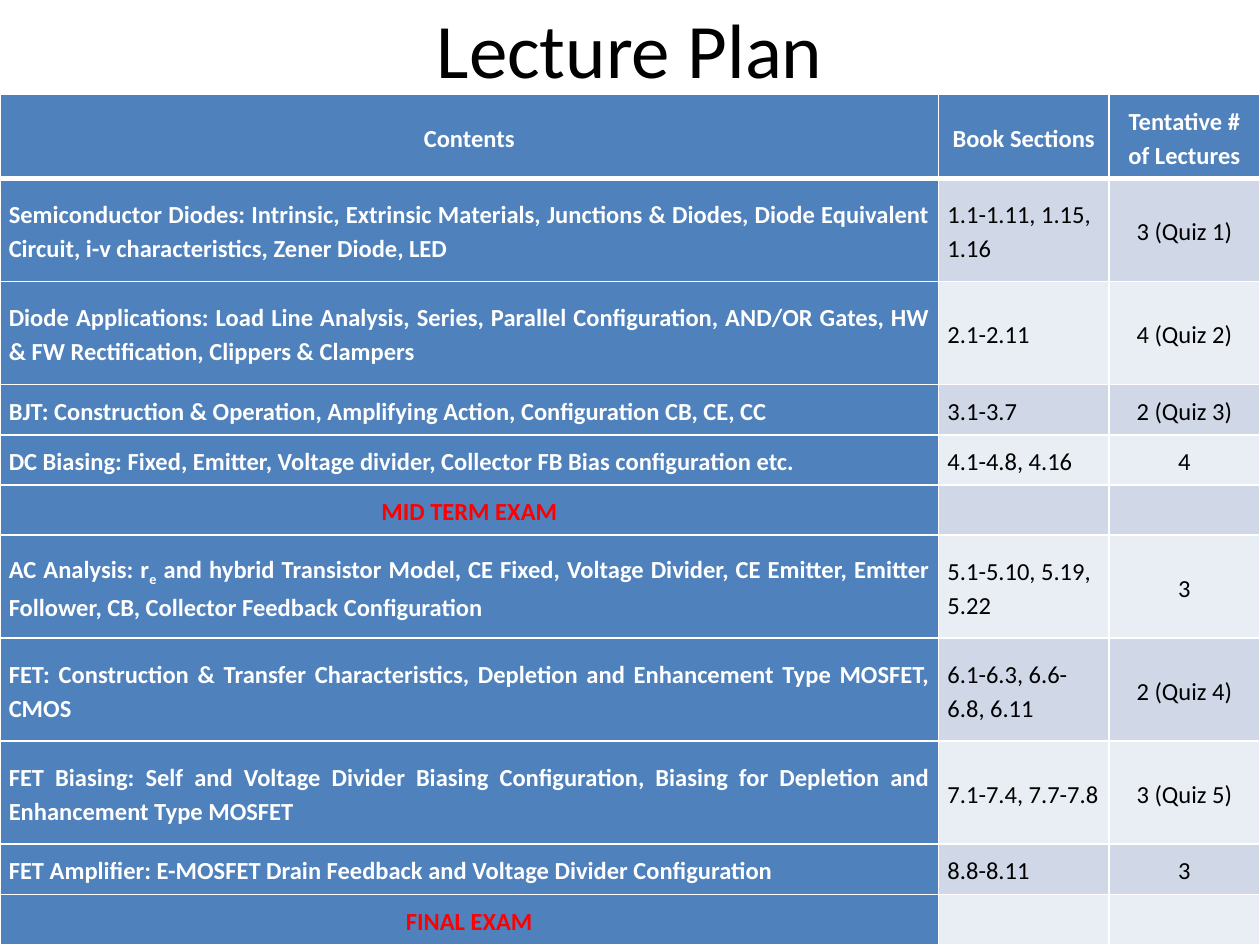
from lxml.etree import SubElement
from pptx import Presentation
from pptx.dml.color import RGBColor
from pptx.enum.text import MSO_ANCHOR as Anchor, PP_ALIGN as Align
from pptx.oxml.ns import qn
from pptx.util import Inches, Pt

WIDTH, HEIGHT = Inches(10), Inches(7.5)
FONT = "Calibri"
WHITE, BLACK, RED = "FFFFFF", "000000", "FF0000"
BLUE, BANDS = "4F81BD", ("D0D8E8", "E9EDF4")
COLUMN_SHARES = (0.745, 0.135, 0.12)
HEADER_ROW, TALL_ROW, SHORT_ROW = 0.67, 0.82, 0.4

HEADINGS = ("Contents", "Book Sections", "Tentative # of Lectures")
# Row height, contents, book sections, lectures; an exam has no sections
PLAN = [
    (TALL_ROW, "Semiconductor Diodes: Intrinsic, Extrinsic Materials, Junctions & Diodes, "
     "Diode Equivalent Circuit, i-v characteristics, Zener Diode, LED",
     "1.1-1.11, 1.15, 1.16", "3 (Quiz 1)"),
    (TALL_ROW, "Diode Applications: Load Line Analysis, Series, Parallel Configuration, "
     "AND/OR Gates, HW & FW Rectification, Clippers & Clampers",
     "2.1-2.11", "4 (Quiz 2)"),
    (SHORT_ROW, "BJT: Construction & Operation, Amplifying Action, Configuration CB, CE, CC",
     "3.1-3.7", "2 (Quiz 3)"),
    (SHORT_ROW, "DC Biasing: Fixed, Emitter, Voltage divider, Collector FB Bias "
     "configuration etc.", "4.1-4.8, 4.16", "4"),
    (SHORT_ROW, "MID TERM EXAM", "", ""),
    (TALL_ROW, "AC Analysis: r|e| and hybrid Transistor Model, CE Fixed, Voltage Divider, "
     "CE Emitter, Emitter Follower, CB, Collector Feedback Configuration",
     "5.1-5.10, 5.19, 5.22", "3"),
    (TALL_ROW, "FET: Construction & Transfer Characteristics, Depletion and Enhancement "
     "Type MOSFET, CMOS", "6.1-6.3, 6.6-6.8, 6.11", "2 (Quiz 4)"),
    (TALL_ROW, "FET Biasing: Self and Voltage Divider Biasing Configuration, Biasing for "
     "Depletion and Enhancement Type MOSFET", "7.1-7.4, 7.7-7.8", "3 (Quiz 5)"),
    (SHORT_ROW, "FET Amplifier: E-MOSFET Drain Feedback and Voltage Divider Configuration",
     "8.8-8.11", "3"),
    (SHORT_ROW, "FINAL EXAM", "", ""),
]


def rgb(value):
    return RGBColor.from_string(value)


def add_run(paragraph, text, size, color, bold=False, subscript=False):
    run = paragraph.add_run()
    run.text = text
    font = run.font
    font.name, font.size, font.bold = FONT, Pt(size), bold
    font.color.rgb = rgb(color)
    if subscript:
        font._element.set("baseline", "-25000")


def set_borders(cell, top=1, bottom=1):
    properties = cell._tc.get_or_add_tcPr()
    for side, points in (("L", 1), ("R", 1), ("T", top), ("B", bottom)):
        line = SubElement(properties, qn(f"a:ln{side}"), w=str(Pt(points)))
        SubElement(SubElement(line, qn("a:solidFill")), qn("a:srgbClr"), val=WHITE)


def fill_cell(cell, text, align, fill, color, bold=False, **borders):
    set_borders(cell, **borders)
    cell.fill.solid()
    cell.fill.fore_color.rgb = rgb(fill)
    cell.vertical_anchor = Anchor.MIDDLE
    cell.margin_left = cell.margin_right = Inches(0.07)
    cell.margin_top = cell.margin_bottom = 0
    paragraph = cell.text_frame.paragraphs[0]
    paragraph.alignment, paragraph.line_spacing = align, 1.15
    if text:
        # Every second part between bars is a subscript
        for index, part in enumerate(text.split("|")):
            add_run(paragraph, part, 14, color, bold, subscript=index % 2 == 1)


def add_title(slide, left, top, width, height):
    frame = slide.shapes.add_textbox(left, top, width, height).text_frame
    frame.word_wrap = True
    frame.vertical_anchor = Anchor.MIDDLE
    heading = frame.paragraphs[0]
    heading.alignment = Align.CENTER
    add_run(heading, "Lecture Plan", 44, BLACK)


def add_plan(slide, left, top, width, height):
    table = slide.shapes.add_table(len(PLAN) + 1, len(HEADINGS),
                                   left, top, width, height).table
    for column, share in zip(table.columns, COLUMN_SHARES):
        column.width = int(width * share)
    row_heights = [HEADER_ROW] + [entry[0] for entry in PLAN]
    for row, share in zip(table.rows, row_heights):
        row.height = int(height * share / sum(row_heights))

    # Header row, set off by a thicker rule
    for column, heading in enumerate(HEADINGS):
        fill_cell(table.cell(0, column), heading, Align.CENTER, BLUE, WHITE, True, bottom=3)

    # Topics and exams, with banded section and lecture columns
    for row, (_, contents, sections, lectures) in enumerate(PLAN, 1):
        topic_align, topic_color = (Align.JUSTIFY, WHITE) if sections else (Align.CENTER, RED)
        band = BANDS[(row - 1) % 2]
        top_rule = 3 if row == 1 else 1
        fill_cell(table.cell(row, 0), contents, topic_align, BLUE, topic_color, True, top=top_rule)
        fill_cell(table.cell(row, 1), sections, Align.LEFT, band, BLACK, top=top_rule)
        fill_cell(table.cell(row, 2), lectures, Align.CENTER, band, BLACK, top=top_rule)


def main():
    deck = Presentation()
    deck.slide_width, deck.slide_height = WIDTH, HEIGHT
    slide = deck.slides.add_slide(deck.slide_layouts[6])
    header = HEIGHT // 10
    add_title(slide, WIDTH // 20, -header // 3, WIDTH * 9 // 10, header * 5 // 3)
    add_plan(slide, 0, header, WIDTH, HEIGHT - header)
    deck.save("out.pptx")


if __name__ == "__main__":
    main()
